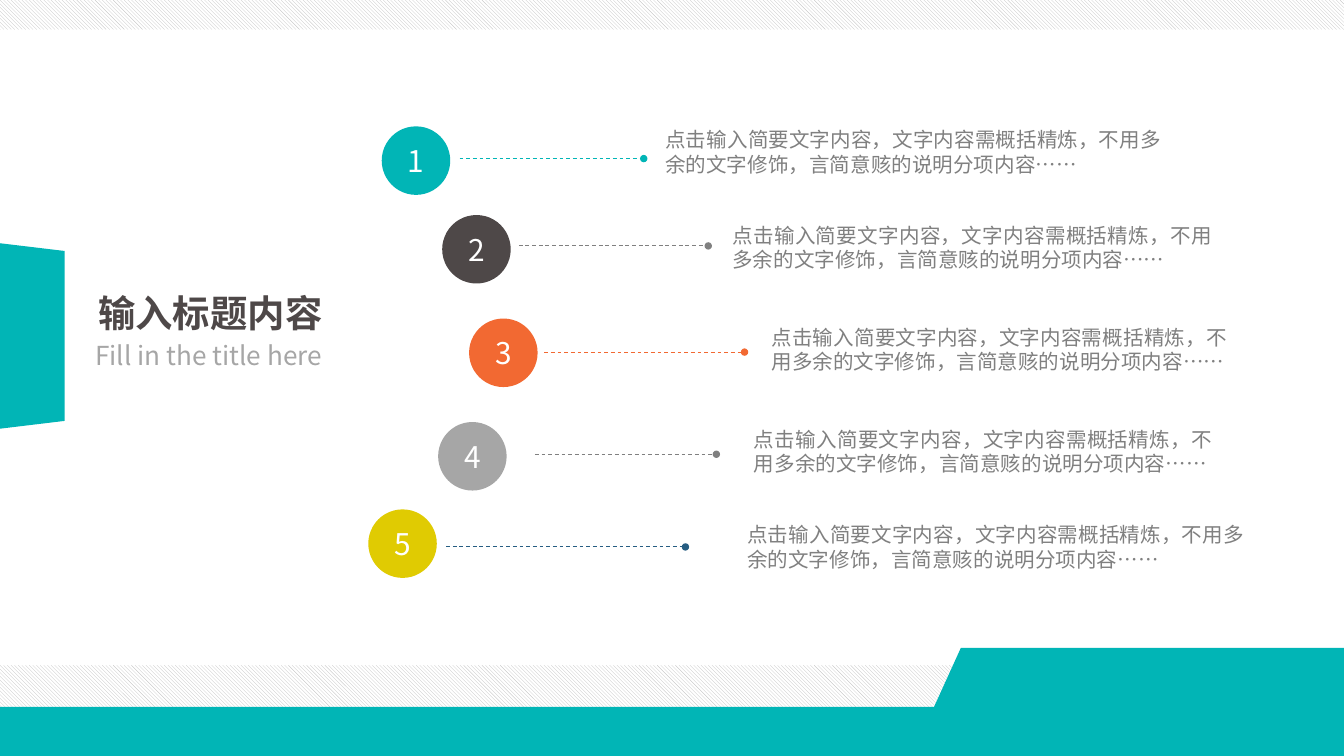
import dataclasses

import pptx
import pptx.dml.color
import pptx.enum.dml
import pptx.enum.lang
import pptx.enum.shapes
import pptx.enum.text
import pptx.oxml.ns
import pptx.util
from lxml import etree

Inches = pptx.util.Inches
Pt = pptx.util.Pt
SHAPE = pptx.enum.shapes.MSO_SHAPE
ALIGN = pptx.enum.text.PP_ALIGN
ANCHOR = pptx.enum.text.MSO_ANCHOR
AUTO_SIZE = pptx.enum.text.MSO_AUTO_SIZE
LANGUAGE = pptx.enum.lang.MSO_LANGUAGE_ID


@dataclasses.dataclass(frozen=True)
class Theme:
    font: str = "Noto Sans CJK SC"
    teal: str = "01B5B6"
    charcoal: str = "4E4848"
    orange: str = "F26932"
    silver: str = "A6A6A6"
    yellow: str = "E0CB02"
    gray: str = "808080"
    navy: str = "265D82"
    hatch: str = "BFBFBF"
    white: str = "FFFFFF"
    title_size: int = 20
    subtitle_size: int = 14
    number_size: int = 16
    body_size: int = 11
    body_spacing: int = 13


THEME = Theme()
WIDTH = 10
HEIGHT = WIDTH * 9 / 16
CIRCLE = 0.51
DESCRIPTION = "点击输入简要文字内容，文字内容需概括精炼，不用多余的文字修饰，言简意赅的说明分项内容……"
NO_INSETS = dict.fromkeys(
    ("margin_left", "margin_top", "margin_right", "margin_bottom"), 0)

# Circle (left, top, colour), leader (start, end, y, colour), text (left, top, width)
ITEMS = [
    ((2.84, 0.94, THEME.teal), (3.42, 4.79, 1.18, THEME.teal), (4.95, 0.95, 3.69)),
    ((3.29, 1.6, THEME.charcoal), (3.86, 5.27, 1.83, THEME.gray), (5.45, 1.66, 3.57)),
    ((3.49, 2.37, THEME.orange), (4.05, 5.54, 2.62, THEME.orange), (5.74, 2.42, 3.39)),
    ((3.26, 3.14, THEME.silver), (3.98, 5.33, 3.38, THEME.gray), (5.61, 3.18, 3.41)),
    ((2.74, 3.79, THEME.yellow), (3.32, 5.1, 4.07, THEME.navy), (5.56, 3.89, 3.7)),
]


def rgb(color):
    return pptx.dml.color.RGBColor.from_string(color)


def apply_format(target, values):
    for name, value in values.items():
        setattr(target, name, value)


def write_text(shape, text, size, color, frame=None, paragraph=None, font=None):
    text_frame = shape.text_frame
    apply_format(text_frame, frame or {})
    line = text_frame.paragraphs[0]
    apply_format(line, paragraph or {})
    run = line.add_run()
    run.text = text
    apply_format(run.font, {"name": THEME.font, "size": Pt(size), **(font or {})})
    run.font.color.rgb = rgb(color)
    # East Asian characters need their own typeface entry
    latin = run.font._element.find(pptx.oxml.ns.qn("a:latin"))
    east_asian = etree.Element(pptx.oxml.ns.qn("a:ea"), typeface=THEME.font)
    latin.addnext(east_asian)


def paint(shape, color):
    shape.shadow.inherit = False
    shape.fill.solid()
    shape.fill.fore_color.rgb = rgb(color)
    shape.line.fill.background()


def add_filled(slide, kind, left, top, width, height, color):
    shape = slide.shapes.add_shape(
        kind, Inches(left), Inches(top), Inches(width), Inches(height))
    paint(shape, color)
    return shape


def add_hatched_band(slide, top, height):
    band = add_filled(slide, SHAPE.RECTANGLE, 0, top, WIDTH, height, THEME.white)
    band.fill.patterned()
    band.fill.pattern = pptx.enum.dml.MSO_PATTERN.LIGHT_DOWNWARD_DIAGONAL
    band.fill.fore_color.rgb = rgb(THEME.hatch)
    band.fill.back_color.rgb = rgb(THEME.white)


def add_footer(slide):
    outline = [(WIDTH, HEIGHT), (0, HEIGHT), (0, 5.26), (6.95, 5.26),
               (7.15, 4.82), (WIDTH, 4.82)]
    points = [(Inches(x), Inches(y)) for x, y in outline]
    builder = slide.shapes.build_freeform(*points[0])
    builder.add_line_segments(points[1:], close=True)
    paint(builder.convert_to_shape(), THEME.teal)


def add_heading(slide):
    title = slide.shapes.title
    apply_format(title, {"left": Inches(0.63), "top": Inches(2.11),
                         "width": Inches(1.96), "height": Inches(0.44)})
    write_text(title, "输入标题内容", THEME.title_size, THEME.charcoal,
               {"word_wrap": True, "vertical_anchor": ANCHOR.TOP,
                "auto_size": AUTO_SIZE.SHAPE_TO_FIT_TEXT},
               {"alignment": ALIGN.LEFT},
               {"bold": True, "language_id": LANGUAGE.SIMPLIFIED_CHINESE})
    subtitle = slide.shapes.add_textbox(
        Inches(0.61), Inches(2.48), Inches(1.96), Inches(0.34))
    write_text(subtitle, "Fill in the title here", THEME.subtitle_size, THEME.silver,
               {"word_wrap": False, "auto_size": AUTO_SIZE.SHAPE_TO_FIT_TEXT})


def add_description(slide, left, top, width):
    box = slide.shapes.add_textbox(
        Inches(left), Inches(top), Inches(width), Inches(0.36))
    write_text(box, DESCRIPTION, THEME.body_size, THEME.gray,
               {**NO_INSETS, "word_wrap": True,
                "auto_size": AUTO_SIZE.SHAPE_TO_FIT_TEXT},
               {"alignment": ALIGN.JUSTIFY, "line_spacing": Pt(THEME.body_spacing)},
               {"language_id": LANGUAGE.SIMPLIFIED_CHINESE})


def add_leader(slide, start, end, y, color):
    leader = slide.shapes.add_connector(
        pptx.enum.shapes.MSO_CONNECTOR.STRAIGHT,
        Inches(start), Inches(y), Inches(end), Inches(y))
    leader.line.color.rgb = rgb(color)
    apply_format(leader.line, {"width": Pt(0.5),
                               "dash_style": pptx.enum.dml.MSO_LINE.DASH})
    properties = leader._element.spPr
    outline = properties.find(pptx.oxml.ns.qn("a:ln"))
    etree.SubElement(outline, pptx.oxml.ns.qn("a:tailEnd"),
                     type="oval", w="sm", len="sm")
    etree.SubElement(properties, pptx.oxml.ns.qn("a:effectLst"))


def add_number(slide, number, left, top, color):
    circle = add_filled(slide, SHAPE.OVAL, left, top, CIRCLE, CIRCLE, color)
    write_text(circle, str(number), THEME.number_size, THEME.white,
               {**NO_INSETS, "vertical_anchor": ANCHOR.MIDDLE},
               {"alignment": ALIGN.CENTER})


def main():
    deck = pptx.Presentation()
    apply_format(deck, {"slide_width": Inches(WIDTH), "slide_height": Inches(HEIGHT)})
    slide = deck.slides.add_slide(deck.slide_layouts.get_by_name("Title Only"))

    # Frame: hatched bands and stepped footer
    add_hatched_band(slide, 4.95, 0.51)
    add_footer(slide)
    add_hatched_band(slide, 0, 0.22)

    # Heading and the strip beneath it
    add_heading(slide)
    add_filled(slide, SHAPE.RECTANGLE, 1.02, 3.1, 2.21, 0.06, THEME.white)

    # Numbered items
    for number, (circle, leader, description) in enumerate(ITEMS, start=1):
        add_description(slide, *description)
        add_leader(slide, *leader)
        add_number(slide, number, *circle)

    # Tab on the left edge
    tab = add_filled(slide, SHAPE.TRAPEZOID, -0.45, 2.26, 1.38, 0.48, THEME.teal)
    tab.rotation = 90
    tab.adjustments[0] = 0.12

    deck.save("out.pptx")


if __name__ == "__main__":
    main()
